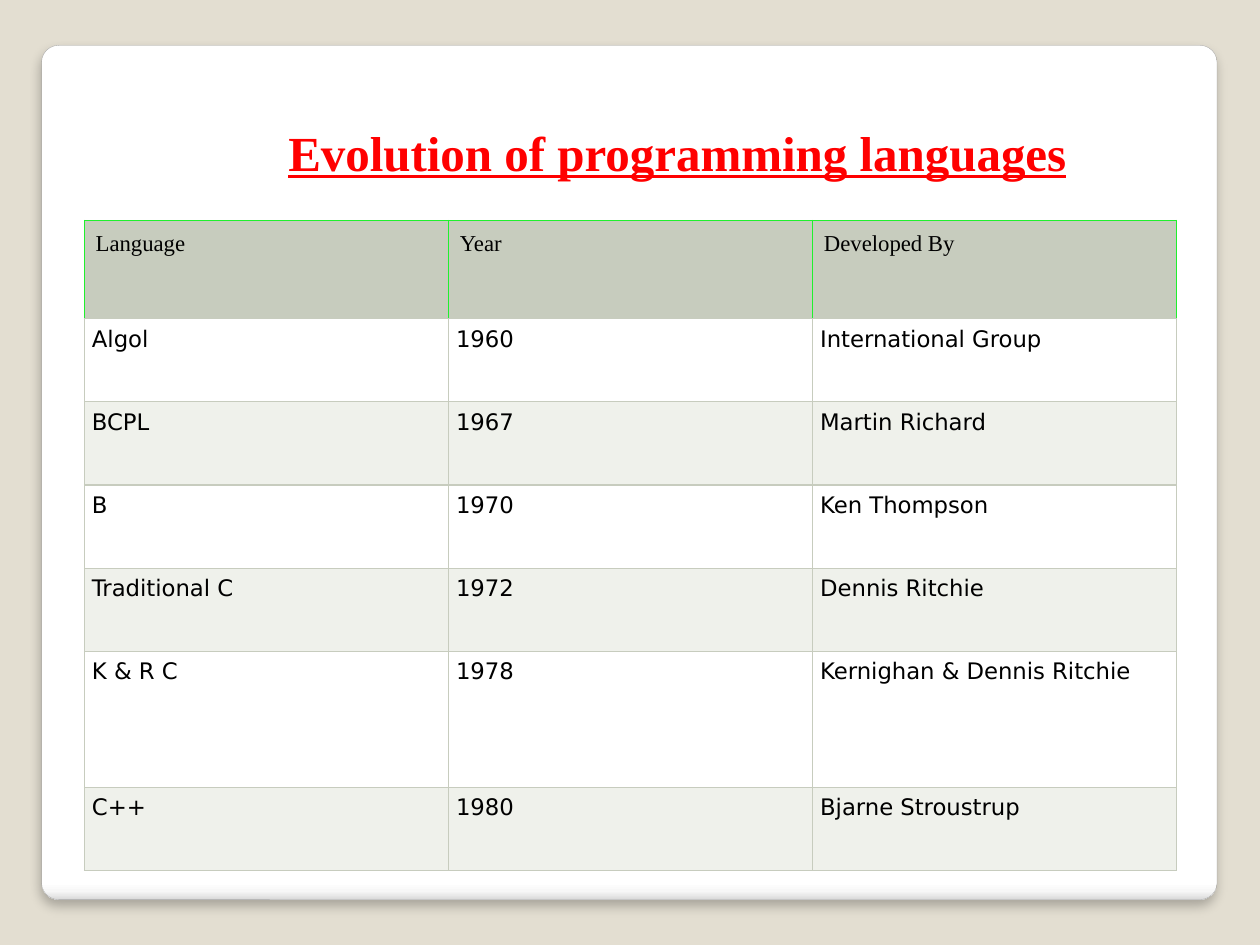
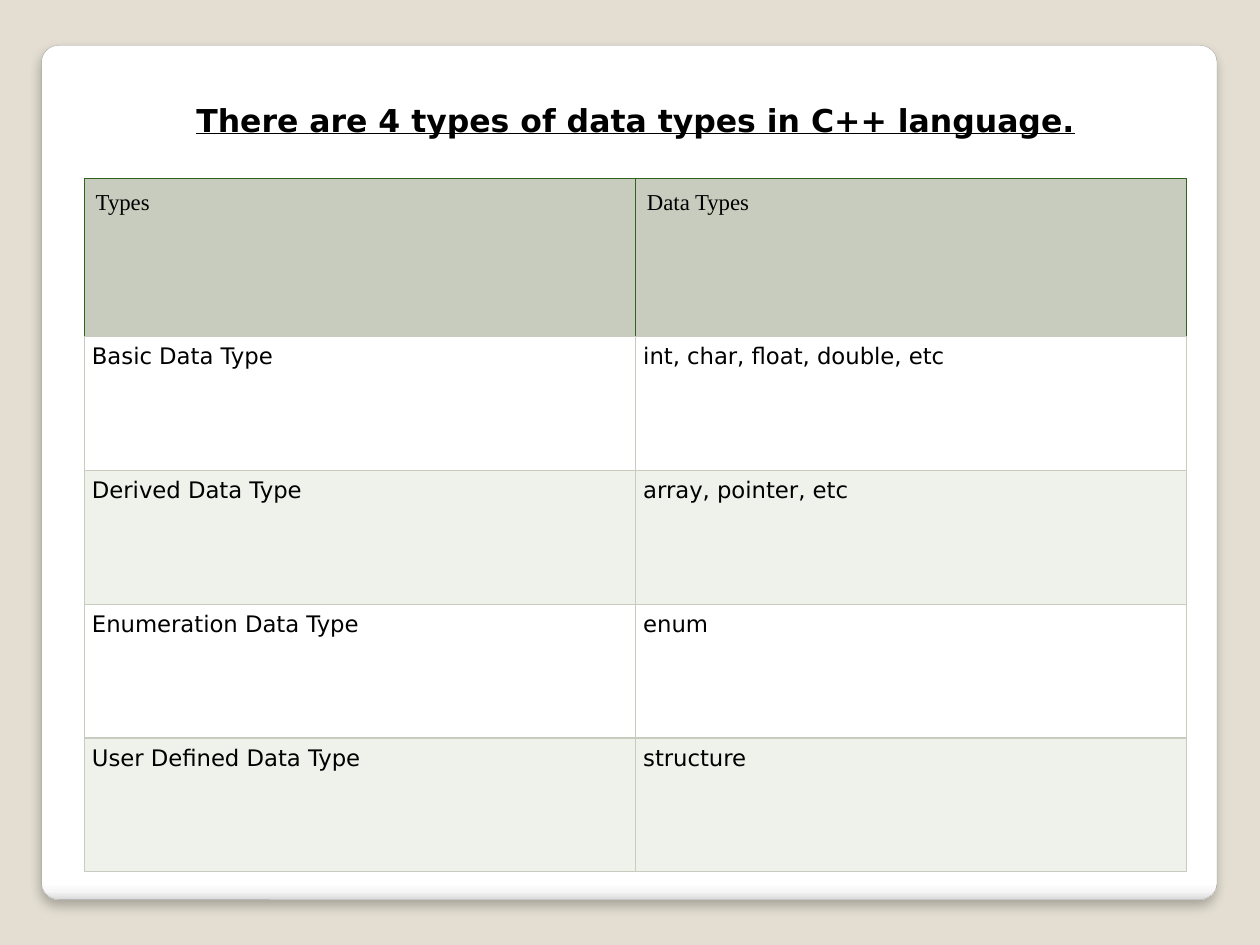
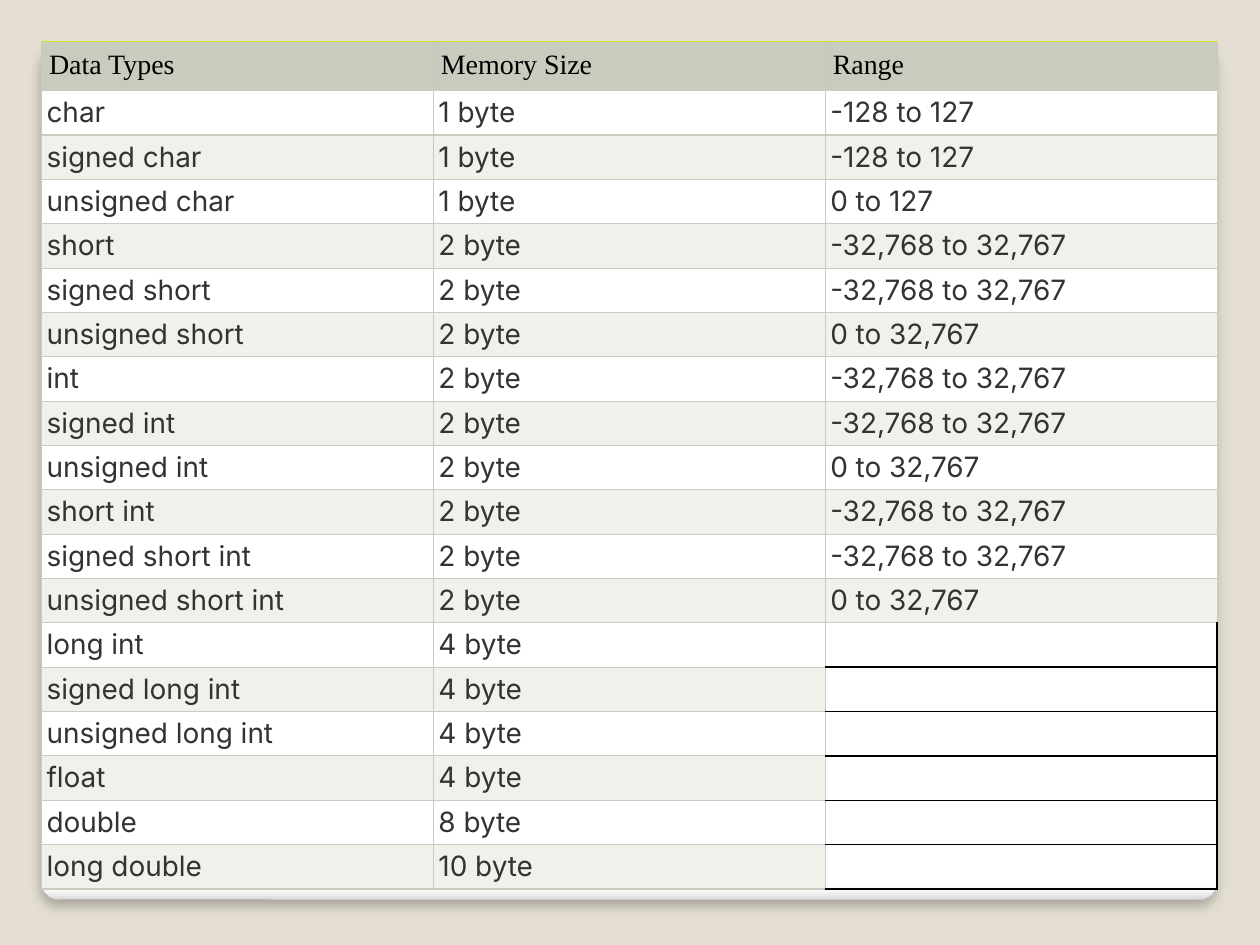
from lxml import etree
from pptx import Presentation
from pptx.dml.color import RGBColor
from pptx.enum.shapes import MSO_SHAPE
from pptx.enum.text import MSO_ANCHOR, MSO_AUTO_SIZE, PP_ALIGN
from pptx.oxml.ns import qn
from pptx.util import Inches, Pt

ROUND = MSO_SHAPE.ROUNDED_RECTANGLE
TOP = MSO_ANCHOR.TOP
NO_FIT = MSO_AUTO_SIZE.NONE
CENTER, LEFT, JUSTIFY = PP_ALIGN.CENTER, PP_ALIGN.LEFT, PP_ALIGN.JUSTIFY
TITLE_ONLY, BLANK = 5, 6

SAND, WHITE, BLACK, INK, RED = "E3DED1", "FFFFFF", "000000", "333333", "FF0000"
HEAD, BAND = "C7CCBE", "EFF1EB"
SERIF, SANS, INTER = "Times New Roman", "DejaVu Sans", "Inter"


def color(code):
    return RGBColor.from_string(code)


def node(parent, tag, **attrs):
    return etree.SubElement(parent, qn(tag), {k: str(v) for k, v in attrs.items()})


def edge(cell, side, code, width):
    """Draw one border of a cell; side is L, R, T or B."""
    line = node(cell._tc.get_or_add_tcPr(), "a:ln" + side, w=Pt(width))
    node(node(line, "a:solidFill"), "a:srgbClr", val=code)


class Deck:
    def __init__(self):
        self.prs = Presentation()
        self.prs.slide_width, self.prs.slide_height = Inches(10), Inches(7.5)
        fill = self.prs.slide_master.background.fill
        fill.solid()
        fill.fore_color.rgb = color(SAND)
        self.slide = None

    def add(self, layout):
        self.slide = self.prs.slides.add_slide(self.prs.slide_layouts[layout])

    def panel(self):
        """Put the white rounded panel on the master, behind every slide."""
        shape = self.slide.shapes.add_shape(
            ROUND, Inches(0.33), Inches(0.36), Inches(9.33), Inches(6.78))
        shape.adjustments[0] = 0.02
        shape.fill.gradient()
        shape.fill.gradient_angle = 270
        stops = shape.element.spPr.find(".//" + qn("a:gsLst"))
        stops.clear()
        for pos, code in ((0, WHITE), (98, WHITE), (99, "F7F7F7"), (100, "DADADA")):
            node(node(stops, "a:gs", pos=pos * 1000), "a:srgbClr", val=code)
        shape.line.color.rgb = color("A4A4A4")
        shape.line.width = Pt(0.16)
        shape.shadow.inherit = False
        shade = node(shape.element.spPr.find(qn("a:effectLst")), "a:outerShdw",
                     blurRad=Pt(6), dist=Pt(4), dir=90 * 60000, rotWithShape=0)
        node(node(shade, "a:srgbClr", val=BLACK), "a:alpha", val=25000)
        self.prs.slide_master.shapes.element.insert(2, shape.element)

    def style(self, para, font, size, code, align, strong=False):
        para.alignment = align
        for run in para.runs:
            run.font.name, run.font.size = font, Pt(size)
            run.font.color.rgb = color(code)
            run.font.bold = run.font.underline = strong

    def title(self, text, box, font, size, code):
        shape = self.slide.shapes.title
        shape.left, shape.top, shape.width, shape.height = map(Inches, box)
        frame = shape.text_frame
        frame.text = text
        frame.word_wrap, frame.auto_size = True, NO_FIT
        frame.vertical_anchor = TOP
        self.style(frame.paragraphs[0], font, size, code, CENTER, True)

    def table(self, rows, left, top, width, heights, accent, size, pads,
              font=SANS, ink=BLACK, align=LEFT):
        """Draw a banded table; pads holds the head and body cell margins."""
        cols = len(rows[0])
        table = self.slide.shapes.add_table(
            len(rows), cols, Inches(left), Inches(top),
            Inches(width), Inches(sum(heights))).table
        table.first_row = table.horz_banding = False
        for col in table.columns:
            col.width = Inches(width / cols)
        for r, (row, high) in enumerate(zip(rows, heights)):
            table.rows[r].height = Inches(high)
            for c, text in enumerate(row):
                cell = table.cell(r, c)
                self.pad(cell, pads[min(r, 1)])
                if not text:
                    self.gap(cell, size, first=bool(rows[r - 1][c]))
                    continue
                for side in "LRTB":
                    edge(cell, side, HEAD if r or side == "B" else accent, 0.75)
                cell.fill.solid()
                cell.fill.fore_color.rgb = color(
                    HEAD if r == 0 else WHITE if r % 2 else BAND)
                cell.text_frame.text = text
                look = (font, size, ink, align) if r else (SERIF, size, BLACK, LEFT)
                self.style(cell.text_frame.paragraphs[0], *look)

    def pad(self, cell, size):
        cell.margin_left = cell.margin_right = Inches(size)
        cell.margin_top = cell.margin_bottom = Inches(size)

    def gap(self, cell, size, first):
        """Leave a cell empty, unfilled and edged in black."""
        edge(cell, "L", HEAD, 0.75)
        edge(cell, "R", BLACK, 1)
        edge(cell, "T", HEAD if first else BLACK, 0.75 if first else 1)
        edge(cell, "B", BLACK, 1)
        cell.fill.background()
        node(cell.text_frame.paragraphs[0]._p, "a:endParaRPr", sz=size * 100)


HISTORY = [
    ("Language", "Year", "Developed By"),
    ("Algol", "1960", "International Group"),
    ("BCPL", "1967", "Martin Richard"),
    ("B", "1970", "Ken Thompson"),
    ("Traditional C", "1972", "Dennis Ritchie"),
    ("K & R C", "1978", "Kernighan & Dennis Ritchie"),
    ("C++", "1980", "Bjarne Stroustrup"),
]
KINDS = [
    ("Types", "Data Types"),
    ("Basic Data Type", "int, char, float, double, etc"),
    ("Derived Data Type", "array, pointer, etc"),
    ("Enumeration Data Type", "enum"),
    ("User Defined Data Type", "structure"),
]
BYTE, WORD, HALF = "-128 to 127", "-32,768 to 32,767", "0 to 32,767"
SIZES = [
    ("Data Types", "Memory Size", "Range"),
    ("char", "1 byte", BYTE),
    ("signed char", "1 byte", BYTE),
    ("unsigned char", "1 byte", "0 to 127"),
    ("short", "2 byte", WORD),
    ("signed short", "2 byte", WORD),
    ("unsigned short", "2 byte", HALF),
    ("int", "2 byte", WORD),
    ("signed int", "2 byte", WORD),
    ("unsigned int", "2 byte", HALF),
    ("short int", "2 byte", WORD),
    ("signed short int", "2 byte", WORD),
    ("unsigned short int", "2 byte", HALF),
    ("long int", "4 byte", ""),
    ("signed long int", "4 byte", ""),
    ("unsigned long int", "4 byte", ""),
    ("float", "4 byte", ""),
    ("double", "8 byte", ""),
    ("long double", "10 byte", ""),
]


def main():
    deck = Deck()

    deck.add(TITLE_ONLY)
    deck.panel()
    deck.title("Evolution of programming languages",
               (0.75, 0.92, 9.25, 0.57), SERIF, 28, RED)
    deck.table(HISTORY, 0.67, 1.75, 8.67, [0.78] + [0.66] * 4 + [1.08, 0.66],
               "20F02E", 13, (0.09, 0.06))

    deck.add(TITLE_ONLY)
    deck.title("There are 4 types of data types in C++ language.",
               (0.67, 0.75, 8.75, 0.71), SANS, 18, BLACK)
    deck.table(KINDS, 0.67, 1.42, 8.75, [1.25] + [4.25 / 4] * 4,
               "30641C", 13, (0.09, 0.06))

    deck.add(BLANK)
    deck.table(SIZES, 0.33, 0.33, 9.33, [0.39] + [6.34 / 18] * 18,
               "D0E321", 16, (0.06, 0.04), INTER, INK, JUSTIFY)

    deck.prs.save("out.pptx")


if __name__ == "__main__":
    main()
